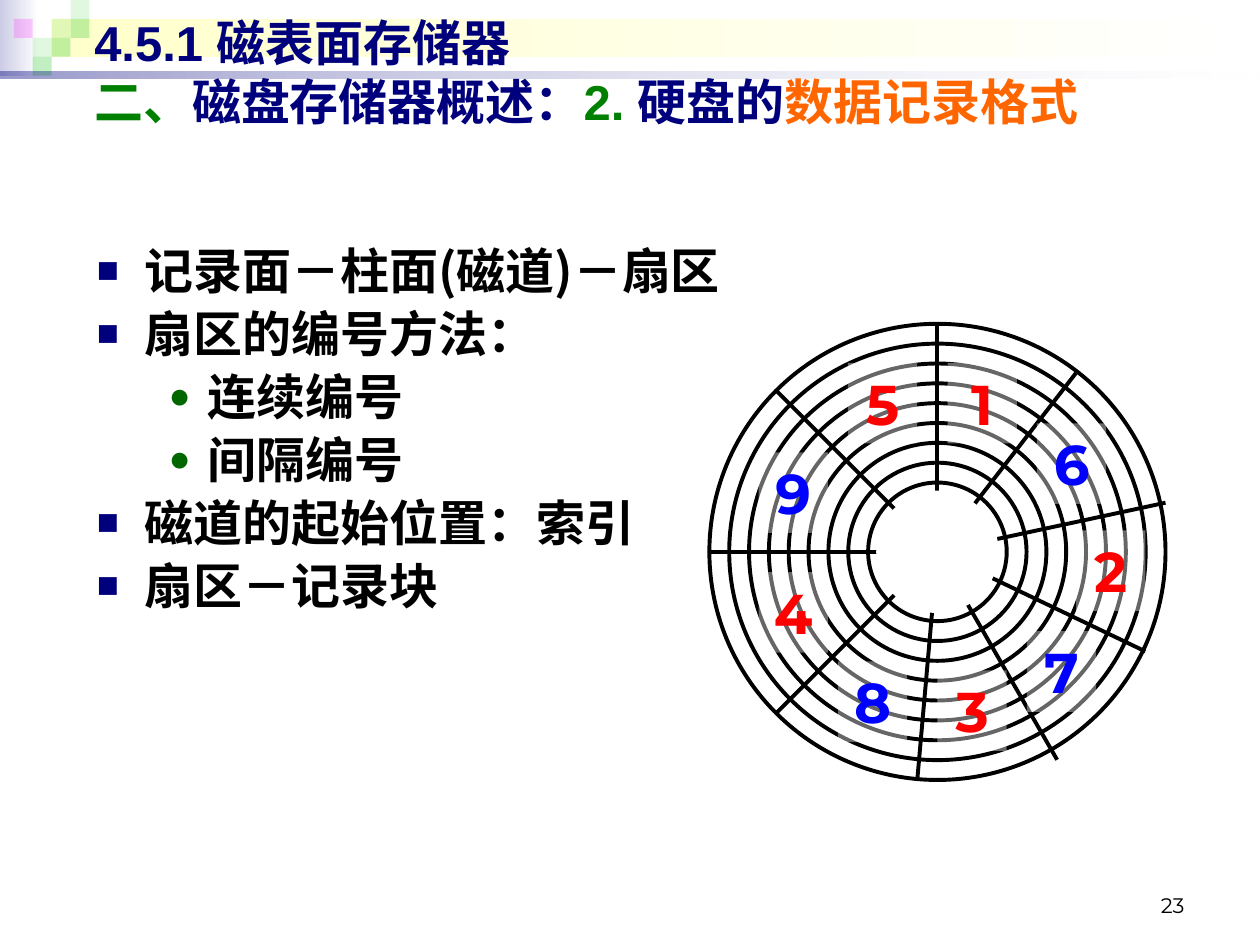
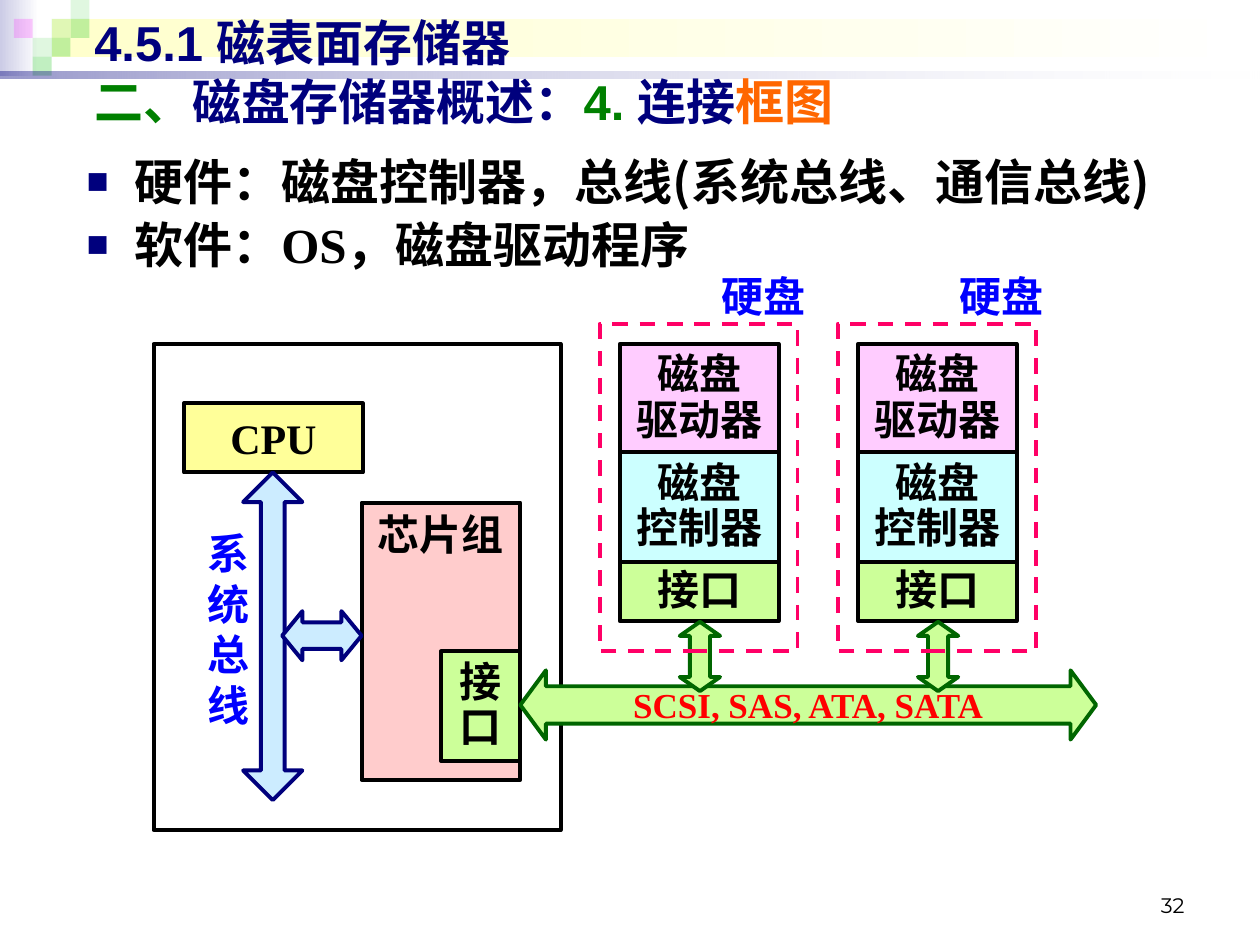
from dataclasses import dataclass
from typing import NamedTuple, Optional

from lxml import etree
from pptx import Presentation
from pptx import util as u
from pptx.dml.color import RGBColor
from pptx.enum import dml, lang, shapes, text
from pptx.oxml.ns import qn

Inches, Pt = u.Inches, u.Pt
SHAPE, ANCHOR, ALIGN = shapes.MSO_SHAPE, text.MSO_ANCHOR, text.PP_ALIGN


@dataclass(frozen=True)
class Theme:
    navy: str = "00007D"
    green: str = "008000"
    dark_green: str = "006600"
    square_green: str = "33CC33"
    square_pink: str = "FF00FF"
    orange: str = "FF6600"
    red: str = "FF0000"
    blue: str = "0000FF"
    black: str = "000000"
    white: str = "FFFFFF"
    lavender: str = "CCCCE6"
    cream: str = "FFFFCC"
    yellow: str = "FFFF99"
    rose: str = "FFCCCC"
    pink: str = "FFCCFF"
    cyan: str = "CCFFFF"
    sky: str = "CCECFF"
    lime: str = "CCFF99"
    dash: str = "FF0066"
    sans: str = "Arial"
    serif: str = "Times New Roman"
    cjk: str = "Noto Sans CJK SC"
    geometric: str = "Montserrat"
    heading: int = 28
    digit: int = 32
    label: int = 24
    bus: int = 20
    number: int = 12
    line: float = 2.25


T = Theme()


class Box(NamedTuple):
    x: float
    y: float
    w: float
    h: float


class Run(NamedTuple):
    text: str
    color: str = T.black
    font: str = T.serif
    size: float = T.heading
    bold: bool = True


class Bullet(NamedTuple):
    char: str
    color: str
    indent: float
    hang: float


class Para(NamedTuple):
    runs: list[Run]
    bullet: Optional[Bullet] = None


class Square(NamedTuple):
    col: int
    row: int
    color: str
    alpha: int


class Spoke(NamedTuple):
    x: float
    y: float


class Sector(NamedTuple):
    x: float
    y: float
    color: str


SQUARE_BULLET = Bullet("■", T.navy, 0.38, 0.38)
DOT_BULLET = Bullet("●", T.dark_green, 0.88, 0.31)
CENTERED = {"alignment": ALIGN.CENTER}
TIGHT = CENTERED | {"line_spacing": 0.9}
MIDDLE = {"vertical_anchor": ANCHOR.MIDDLE}
MIDDLE_NOWRAP = MIDDLE | {"word_wrap": False}


def rgb(color: str) -> RGBColor:
    return RGBColor.from_string(color)


def apply(target, formats: dict) -> None:
    for name, value in formats.items():
        setattr(target, name, value)


def place(box: Box) -> list[int]:
    return [Inches(v) for v in box]


def set_alphas(sp, *alphas: int) -> None:
    """Set the opacity, in percent, of the fill colours in order."""
    for color, alpha in zip(sp._element.spPr.iter(qn("a:srgbClr")), alphas):
        etree.SubElement(color, qn("a:alpha"), val=str(alpha * 1000))


def add_bullet(p, bullet: Bullet) -> None:
    pPr = p._p.get_or_add_pPr()
    pPr.set("marL", str(Inches(bullet.indent)))
    pPr.set("indent", str(-Inches(bullet.hang)))
    color = etree.SubElement(pPr, qn("a:buClr"))
    etree.SubElement(color, qn("a:srgbClr"), val=bullet.color)
    etree.SubElement(pPr, qn("a:buSzPct"), val="75000")
    etree.SubElement(pPr, qn("a:buFont"), typeface=T.sans)
    etree.SubElement(pPr, qn("a:buChar"), char=bullet.char)


def add_run(p, run: Run) -> None:
    for i, line in enumerate(run.text.split("\n")):
        if i:
            p.add_line_break()
        if not line:
            continue
        r = p.add_run()
        r.text = line
        apply(r.font, {"name": run.font, "size": Pt(run.size), "bold": run.bold,
                       "language_id": lang.MSO_LANGUAGE_ID.SIMPLIFIED_CHINESE})
        r.font.color.rgb = rgb(run.color)
        ea = run.font if run.font == T.cjk else T.geometric
        etree.SubElement(r.font._element, qn("a:ea"), typeface=ea)


def write(sp, paras: list[Para], frame: dict, para: dict) -> None:
    tf = sp.text_frame
    apply(tf, {"word_wrap": True, "vertical_anchor": ANCHOR.TOP} | frame)
    for i, item in enumerate(paras):
        p = tf.add_paragraph() if i else tf.paragraphs[0]
        if i and item.bullet:
            p.space_before = Pt(2.4)
        apply(p, para)
        if item.bullet:
            add_bullet(p, item.bullet)
        for run in item.runs:
            add_run(p, run)


def add_text(s, box: Box, paras: list[Para], frame: dict = {}, para: dict = {}) -> None:
    write(s.shapes.add_textbox(*place(box)), paras, frame, para)


def add_shape(parent, kind, box: Box, fill: str = "", line: str = "", adj: tuple = ()):
    sp = parent.shapes.add_shape(kind, *place(box))
    sp.shadow.inherit = False
    for i, value in enumerate(adj):
        sp.adjustments[i] = value
    if fill:
        sp.fill.solid()
        sp.fill.fore_color.rgb = rgb(fill)
    else:
        sp.fill.background()
    if line:
        sp.line.color.rgb = rgb(line)
        sp.line.width = Pt(T.line)
    else:
        sp.line.fill.background()
    return sp


def add_band(parent, box: Box, start: str, alphas: tuple = ()) -> None:
    """Draw a bar that fades to white from left to right."""
    sp = add_shape(parent, SHAPE.RECTANGLE, box)
    sp.fill.gradient()
    sp.fill.gradient_angle = 0
    for stop, color in zip(sp.fill.gradient_stops, (start, T.white)):
        stop.color.rgb = rgb(color)
    set_alphas(sp, *alphas)


def add_block(s, box: Box, fill: str, lines: list[str], frame: dict, para: dict) -> None:
    sp = add_shape(s, SHAPE.RECTANGLE, box, fill, T.black)
    write(sp, [Para([Run(line, size=T.label)]) for line in lines], frame, para)


def add_header(s) -> None:
    header = s.shapes.add_group_shape()
    add_band(header, Box(0, 0, 0.31, 0.6), T.lavender)
    add_band(header, Box(0.41, 0.15, 9.55, 0.3), T.cream)
    side = 0.15
    squares = [Square(2, 1, T.square_green, 15), Square(3, 0, T.square_green, 15),
               Square(3, 1, T.square_green, 30), Square(1, 2, T.square_green, 15),
               Square(0, 1, T.square_pink, 20), Square(2, 2, T.square_green, 30),
               Square(1, 3, T.square_green, 30)]
    for q in squares:
        box = Box(0.11 + q.col * side, q.row * side, side, side)
        set_alphas(add_shape(header, SHAPE.RECTANGLE, box, q.color), q.alpha)
    add_band(header, Box(0, 0.57, 10, 0.05), T.navy, (40, 10))


def new_slide(prs, number: int, item: str, topic: str, accent: str):
    s = prs.slides.add_slide(prs.slide_layouts[6])
    add_header(s)
    add_text(s, Box(7.17, 6.83, 2.33, 0.5),
             [Para([Run(str(number), font=T.geometric, size=T.number, bold=False)])],
             {"vertical_anchor": ANCHOR.BOTTOM}, {"alignment": ALIGN.RIGHT})
    title = [("4.5.1 磁表面存储器\n", T.navy), ("二、", T.green), ("磁盘存储器概述：", T.navy),
             (item, T.green), (topic, T.navy), (accent, T.orange)]
    add_text(s, Box(0.65, 0.05, 9, 1.02),
             [Para([Run(words, color, T.sans) for words, color in title])])
    return s


def with_brackets(before: str, inside: str, after: str = "") -> list[Run]:
    runs = [Run(before), Run("(", font=T.cjk), Run(inside), Run(")", font=T.cjk)]
    return runs + [Run(after)] if after else runs


def add_disk(s) -> None:
    disk = s.shapes.add_group_shape()
    cx, cy, outer, inner, tracks = 7.44, 4.38, 1.81, 0.55, 9

    def add_circle(radius: float, fill: str = "", line: str = T.black) -> None:
        box = Box(cx - radius, cy - radius, 2 * radius, 2 * radius)
        add_shape(disk, SHAPE.OVAL, box, fill, line)

    for i in range(tracks):
        add_circle(outer - i * (outer - inner) / (tracks - 1))
    spokes = [Spoke(8.54, 2.96), Spoke(9.25, 3.99), Spoke(9.09, 5.17), Spoke(8.39, 6.03),
              Spoke(7.28, 6.19), Spoke(6.16, 5.66), Spoke(5.63, 4.38), Spoke(6.16, 3.1),
              Spoke(7.44, 2.57)]
    for end in spokes:
        c = disk.shapes.add_connector(shapes.MSO_CONNECTOR.STRAIGHT, Inches(cx), Inches(cy),
                                      Inches(end.x), Inches(end.y))
        c.line.color.rgb = rgb(T.black)
        c.line.width = Pt(T.line)
        etree.SubElement(c._element.spPr, qn("a:effectLst"))
    add_circle(0.47, T.white, T.white)
    sectors = [Sector(7.52, 2.88, T.red), Sector(8.54, 4.21, T.red), Sector(7.44, 5.32, T.red),
               Sector(6.02, 4.54, T.red), Sector(6.73, 2.88, T.red), Sector(8.23, 3.36, T.blue),
               Sector(8.15, 5.01, T.blue), Sector(6.65, 5.25, T.blue), Sector(6.02, 3.59, T.blue)]
    for n, sector in enumerate(sectors, 1):
        sp = add_shape(disk, SHAPE.RECTANGLE, Box(sector.x, sector.y, 0.55, 0.64), T.white)
        set_alphas(sp, 40)
        write(sp, [Para([Run(str(n), sector.color, T.geometric, T.digit)])], {}, CENTERED)


def add_drive(s, x: float) -> None:
    """Draw one hard disk, its dashed outline and its link to the bus."""
    add_block(s, Box(x, 4.46, 1.26, 0.47), T.lime, ["接口"], MIDDLE, TIGHT)
    link = add_shape(s, SHAPE.LEFT_RIGHT_ARROW, Box(x + 0.36, 5.05, 0.55, 0.32),
                     T.lime, T.dark_green, (0.5, 0.35))
    link.rotation = 90
    add_block(s, Box(x, 2.73, 1.26, 0.87), T.pink, ["磁盘\n驱动器"], MIDDLE_NOWRAP, TIGHT)
    add_block(s, Box(x, 3.59, 1.26, 0.87), T.cyan, ["磁盘", "控制器"], MIDDLE_NOWRAP, TIGHT)
    outline = add_shape(s, SHAPE.RECTANGLE, Box(x - 0.16, 2.57, 1.57, 2.6), line=T.dash)
    outline.line.dash_style = dml.MSO_LINE.DASH
    add_text(s, Box(x + 0.55, 2.1, 1.02, 0.5), [Para([Run("硬盘", T.blue, size=T.label)])],
             para={"alignment": ALIGN.RIGHT})


def build_record_format(prs) -> None:
    s = new_slide(prs, 23, "2. ", "硬盘的", "数据记录格式")
    add_text(s, Box(0.67, 1.86, 8.11, 3.47), [
        Para(with_brackets("记录面－柱面", "磁道", "－扇区"), SQUARE_BULLET),
        Para([Run("扇区的编号方法：")], SQUARE_BULLET),
        Para([Run("连续编号")], DOT_BULLET),
        Para([Run("间隔编号")], DOT_BULLET),
        Para([Run("磁道的起始位置：索引")], SQUARE_BULLET),
        Para([Run("扇区－记录块")], SQUARE_BULLET)])
    add_disk(s)


def build_connection(prs) -> None:
    s = new_slide(prs, 32, "4. ", "连接", "框图")
    add_text(s, Box(0.59, 1.15, 9.06, 1.26), [
        Para(with_brackets("硬件：磁盘控制器，总线", "系统总线、通信总线"), SQUARE_BULLET),
        Para([Run("软件：OS，磁盘驱动程序")], SQUARE_BULLET)])
    add_block(s, Box(2.87, 3.99, 1.26, 2.2), T.rose, ["芯片组"], {"word_wrap": False}, CENTERED)
    add_shape(s, SHAPE.RECTANGLE, Box(1.22, 2.73, 3.23, 3.86), line=T.black)
    add_block(s, Box(1.46, 3.2, 1.42, 0.55), T.yellow, ["CPU"], MIDDLE_NOWRAP, CENTERED)
    add_shape(s, SHAPE.UP_DOWN_ARROW, Box(1.93, 3.75, 0.47, 2.6), T.sky, T.navy, (0.5, 0.4))
    add_block(s, Box(3.5, 5.17, 0.63, 0.87), T.lime, ["接口"], MIDDLE, TIGHT)
    add_shape(s, SHAPE.LEFT_RIGHT_ARROW, Box(2.24, 4.85, 0.63, 0.39), T.sky, T.navy, (0.54, 0.41))
    bus = add_shape(s, SHAPE.LEFT_RIGHT_ARROW, Box(4.13, 5.32, 4.57, 0.55),
                    T.lime, T.dark_green, (0.54, 0.37))
    write(bus, [Para([Run("SCSI, SAS, ATA, SATA", T.red, size=T.bus)])], MIDDLE_NOWRAP, CENTERED)
    add_text(s, Box(1.54, 4.14, 0.55, 1.7), [Para([Run("系统总线", T.blue, size=T.label)])],
             para=CENTERED)
    for x in (4.92, 6.81):
        add_drive(s, x)


def main() -> None:
    prs = Presentation()
    apply(prs, {"slide_width": Inches(10), "slide_height": Inches(7.5)})
    build_record_format(prs)
    build_connection(prs)
    prs.save("out.pptx")


if __name__ == "__main__":
    main()
